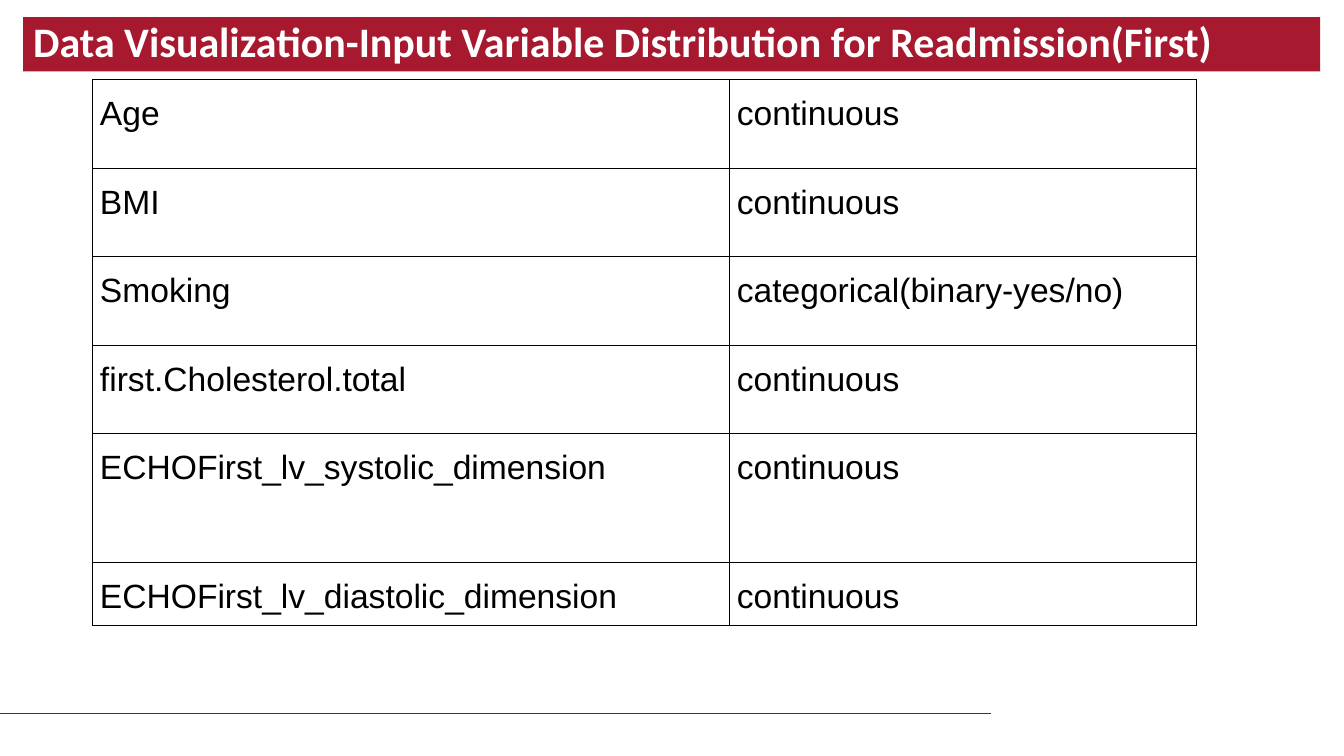
from lxml import etree
from pptx import Presentation
from pptx.dml.color import RGBColor
from pptx.enum.shapes import MSO_CONNECTOR
from pptx.enum.text import MSO_ANCHOR, MSO_AUTO_SIZE, PP_ALIGN
from pptx.oxml.ns import qn
from pptx.util import Cm, Pt

LEFT, TOP, MIDDLE = PP_ALIGN.LEFT, MSO_ANCHOR.TOP, MSO_ANCHOR.MIDDLE
NO_FIT, STRAIGHT = MSO_AUTO_SIZE.NONE, MSO_CONNECTOR.STRAIGHT
RED, RULE, BLACK, WHITE = "A6192E", "BB0000", "000000", "FFFFFF"

TITLE = "Data Visualization-Input Variable Distribution for Readmission(First)"
ROWS = [
    ("Age", "continuous"),
    ("BMI", "continuous"),
    ("Smoking", "categorical(binary-yes/no)"),
    ("first.Cholesterol.total", "continuous"),
    ("ECHOFirst_lv_systolic_dimension", "continuous"),
    ("ECHOFirst_lv_diastolic_dimension", "continuous"),
]
WIDTHS = [16.05, 11.76]
HEIGHTS = [2.23] * 4 + [3.25, 1.19]

HEAD_FONT = {"name": "Calibri", "size": Pt(30), "bold": True}
HEAD_PARA = {"alignment": LEFT, "line_spacing": 0.9}
CELL_FONT = {"name": "Arial", "size": Pt(24), "bold": False}
CELL_PARA = {"alignment": LEFT, "line_spacing": 1.15,
             "space_before": Pt(12), "space_after": Pt(12)}
CELL_BOX = {"margin_left": Cm(0.18), "margin_right": Cm(0.18),
            "margin_top": Cm(0.25), "margin_bottom": Cm(0.25),
            "vertical_anchor": TOP}


def color(code):
    return RGBColor.from_string(code)


def apply(target, values):
    for name, value in values.items():
        setattr(target, name, value)


def write(frame, text, para, font, ink):
    frame.text = text
    first = frame.paragraphs[0]
    apply(first, para)
    run = first.runs[0]
    apply(run.font, font)
    run.font.color.rgb = color(ink)


def add_border(cell):
    props = cell._tc.get_or_add_tcPr()
    for i, side in enumerate(("a:lnL", "a:lnR", "a:lnT", "a:lnB")):
        line = etree.Element(qn(side), w=str(Pt(1)))
        fill = etree.SubElement(line, qn("a:solidFill"))
        etree.SubElement(fill, qn("a:srgbClr"), val=BLACK)
        props.insert(i, line)


def add_title(slide, left, top, width, height):
    title = slide.shapes.title
    apply(title, {"left": Cm(left), "top": Cm(top),
                  "width": Cm(width), "height": Cm(height)})
    title.fill.solid()
    title.fill.fore_color.rgb = color(RED)
    frame = title.text_frame
    apply(frame, {"word_wrap": True, "auto_size": NO_FIT,
                  "vertical_anchor": MIDDLE})
    write(frame, TITLE, HEAD_PARA, HEAD_FONT, WHITE)


def add_grid(slide, left, top):
    grid = slide.shapes.add_table(
        len(ROWS), len(WIDTHS), Cm(left), Cm(top),
        Cm(sum(WIDTHS)), Cm(sum(HEIGHTS))).table
    apply(grid, {"first_row": False, "horz_banding": False})
    for col, width in zip(grid.columns, WIDTHS):
        col.width = Cm(width)
    for row, height, texts in zip(grid.rows, HEIGHTS, ROWS):
        row.height = Cm(height)
        for cell, text in zip(row.cells, texts):
            apply(cell, CELL_BOX)
            cell.fill.background()
            add_border(cell)
            write(cell.text_frame, text, CELL_PARA, CELL_FONT, BLACK)


def add_rule(slide, left, top, width):
    rule = slide.shapes.add_connector(
        STRAIGHT, Cm(left + width), Cm(top), Cm(left), Cm(top))
    rule.line.width = Pt(0.75)
    rule.line.color.rgb = color(RULE)
    etree.SubElement(rule._element.spPr, qn("a:effectLst"))


def main():
    deck = Presentation()
    apply(deck, {"slide_width": Cm(33.87), "slide_height": Cm(19.05)})
    slide = deck.slides.add_slide(deck.slide_layouts.get_by_name("Title Only"))
    add_rule(slide, 0, 17.98, 24.97)
    add_title(slide, 0.58, 0.43, 32.69, 1.37)
    add_grid(slide, 2.34, 2.01)
    deck.save("out.pptx")


if __name__ == "__main__":
    main()
